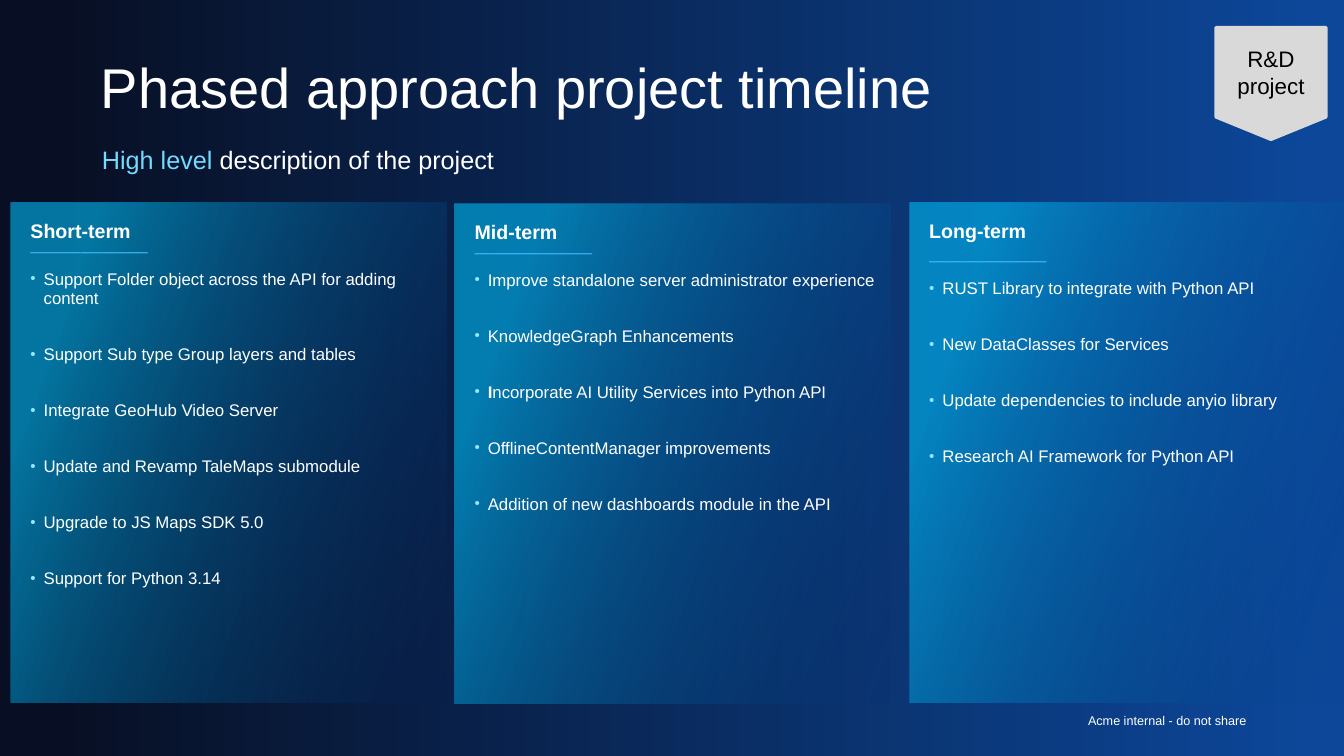
from dataclasses import dataclass

from lxml.etree import SubElement
from pptx import Presentation
from pptx.dml.color import RGBColor
from pptx.enum.shapes import MSO_SHAPE
from pptx.enum.text import MSO_ANCHOR, MSO_AUTO_SIZE, PP_ALIGN
from pptx.oxml.ns import qn
from pptx.util import Emu, Pt


@dataclass(frozen=True)
class Theme:
    font: str = "Arial"
    white: str = "FFFFFF"
    black: str = "000000"
    highlight: str = "72DBFF"
    rule: str = "41B9FF"
    bullet: str = "94E6FF"
    badge: str = "D9D9D9"
    night: str = "080F24"
    royal: str = "0C4799"
    panel_dark: str = "00347E"
    panel_bright: str = "00B9F2"
    title_size: int = 40
    subtitle_size: int = 18
    badge_size: int = 16
    heading_size: int = 14
    body_size: int = 12
    footer_size: int = 9


EMU_PER_PX = 9525
PAGE_SIZE = (1280, 720)
PANEL_SIZE = (415, 476)
LINE_PT = 14
AFTER_PT = 6
BULLET_GAP_PT = LINE_PT + 2 * AFTER_PT
RULE_TEXT = "———————"

# left, top, heading, line height of the rule, bullets
PANELS = [
    (866, 193, "Long-term", 14, [
        "RUST Library to integrate with Python API",
        "New DataClasses for Services",
        "Update dependencies to include anyio library",
        "Research AI Framework for Python API",
    ]),
    (433, 194, "Mid-term", 7, [
        "Improve standalone server administrator experience",
        "KnowledgeGraph Enhancements",
        ("I", "ncorporate AI Utility Services into Python API"),
        "OfflineContentManager improvements",
        "Addition of new dashboards module in the API",
    ]),
    (10, 193, "Short-term", 7, [
        "Support Folder object across the API for adding content",
        "Support Sub type Group layers and tables",
        "Integrate GeoHub Video Server",
        "Update and Revamp TaleMaps submodule",
        "Upgrade to JS Maps SDK 5.0",
        "Support for Python 3.14",
    ]),
]


def px(*lengths):
    return [Emu(length * EMU_PER_PX) for length in lengths]


def blend(fill, angle, stops):
    """Apply a linear gradient; the angle runs clockwise in degrees."""
    fill.gradient()
    fill.gradient_angle = 360 - angle
    for stop, (position, color) in zip(fill.gradient_stops, stops):
        stop.position = position
        stop.color.rgb = RGBColor.from_string(color)


class SlideBuilder:
    def __init__(self, page, theme):
        self.page = page
        self.theme = theme

    def style(self, span, size, color, bold=False):
        font = span.font
        font.name, font.size, font.bold = self.theme.font, Pt(size), bold
        font.color.rgb = RGBColor.from_string(color)

    def fill_para(self, para, text, size, color, bold=False):
        para.text = text
        self.style(para.runs[0], size, color, bold)

    def frame(self, shape, insets, anchor=MSO_ANCHOR.TOP):
        """Set wrapping, anchor and left, top, right, bottom insets."""
        frame = shape.text_frame
        frame.word_wrap = True
        frame.auto_size = MSO_AUTO_SIZE.NONE
        frame.vertical_anchor = anchor
        (frame.margin_left, frame.margin_top,
         frame.margin_right, frame.margin_bottom) = px(*insets)
        return frame

    def background(self):
        blend(self.page.background.fill, 180,
              [(0.02, self.theme.royal), (0.96, self.theme.night)])

    def title(self, text, left, top, width, height):
        title = self.page.shapes.title
        title.left, title.top, title.width, title.height = px(left, top, width, height)
        para = self.frame(title, (0, 0, 0, 0), MSO_ANCHOR.BOTTOM).paragraphs[0]
        self.fill_para(para, text, self.theme.title_size, self.theme.white)
        para.alignment = PP_ALIGN.LEFT

    def text(self, spans, size, left, top, width, height,
             align=PP_ALIGN.LEFT, anchor=MSO_ANCHOR.TOP):
        box = self.page.shapes.add_textbox(*px(left, top, width, height))
        para = self.frame(box, (10, 5, 10, 5), anchor).paragraphs[0]
        para.alignment = align
        for text, color in spans:
            span = para.add_run()
            span.text = text
            self.style(span, size, color)

    def badge(self, text, left, top, width, height):
        badge = self.page.shapes.add_shape(
            MSO_SHAPE.FLOWCHART_OFFPAGE_CONNECTOR, *px(left, top, width, height))
        badge.shadow.inherit = False
        color = RGBColor.from_string(self.theme.badge)
        badge.fill.solid()
        badge.fill.fore_color.rgb = color
        badge.line.color.rgb = color
        badge.line.width = Pt(2)
        para = self.frame(badge, (0, 0, 0, 0), MSO_ANCHOR.MIDDLE).paragraphs[0]
        self.fill_para(para, text, self.theme.badge_size, self.theme.black)
        para.alignment = PP_ALIGN.CENTER

    def bullet(self, para, item):
        """Fill in a bullet; a pair of texts has its first part in bold."""
        props = para._p.get_or_add_pPr()
        props.set("marL", "120000")
        props.set("indent", "-120000")
        color = SubElement(props, qn("a:buClr"))
        SubElement(color, qn("a:srgbClr"), val=self.theme.bullet)
        SubElement(props, qn("a:buSzPct"), val="90000")
        SubElement(props, qn("a:buFont"), typeface=self.theme.font)
        SubElement(props, qn("a:buChar"), char="•")
        parts = [item] if isinstance(item, str) else item
        for index, part in enumerate(parts):
            span = para.add_run()
            span.text = part
            self.style(span, self.theme.body_size, self.theme.white,
                       bold=index < len(parts) - 1)

    def panel(self, left, top, heading, rule_height, bullets):
        theme = self.theme
        panel = self.page.shapes.add_shape(
            MSO_SHAPE.RECTANGLE, *px(left, top, *PANEL_SIZE))
        panel.shadow.inherit = False
        panel.line.fill.background()
        blend(panel.fill, 200, [(0, theme.panel_dark), (0.85, theme.panel_bright)])
        stops = panel.element.spPr.iter(qn("a:srgbClr"))
        for color, opacity in zip(stops, (0, 60)):
            SubElement(color, qn("a:alpha"), val=str(opacity * 1000))

        frame = self.frame(panel, (19, 19, 10, 19))
        paras = [frame.paragraphs[0]]
        paras += [frame.add_paragraph() for _ in range(len(bullets) + 1)]
        self.fill_para(paras[0], heading, theme.heading_size, theme.white, bold=True)
        self.fill_para(paras[1], RULE_TEXT, theme.body_size, theme.rule)
        for para, item in zip(paras[2:], bullets):
            self.bullet(para, item)
        for index, para in enumerate(paras):
            para.alignment = PP_ALIGN.LEFT
            para.line_spacing = Pt(rule_height if index == 1 else LINE_PT)
            para.space_after = Pt(AFTER_PT if index < 2 else BULLET_GAP_PT)


def main():
    deck = Presentation()
    deck.slide_width, deck.slide_height = px(*PAGE_SIZE)
    theme = Theme()
    slide = SlideBuilder(deck.slides.add_slide(deck.slide_layouts[5]), theme)
    slide.background()
    slide.title("Phased approach project timeline", 96, 42, 1089, 72)
    slide.text([("Acme internal - do not share", theme.white)], theme.footer_size,
               665, 667, 532, 38, PP_ALIGN.RIGHT, MSO_ANCHOR.MIDDLE)
    slide.badge("R&D project", 1158, 26, 105, 107)
    slide.text([("High level ", theme.highlight),
                ("description of the project", theme.white)],
               theme.subtitle_size, 87, 132, 640, 38)
    for panel in PANELS:
        slide.panel(*panel)
    deck.save("out.pptx")


if __name__ == "__main__":
    main()
